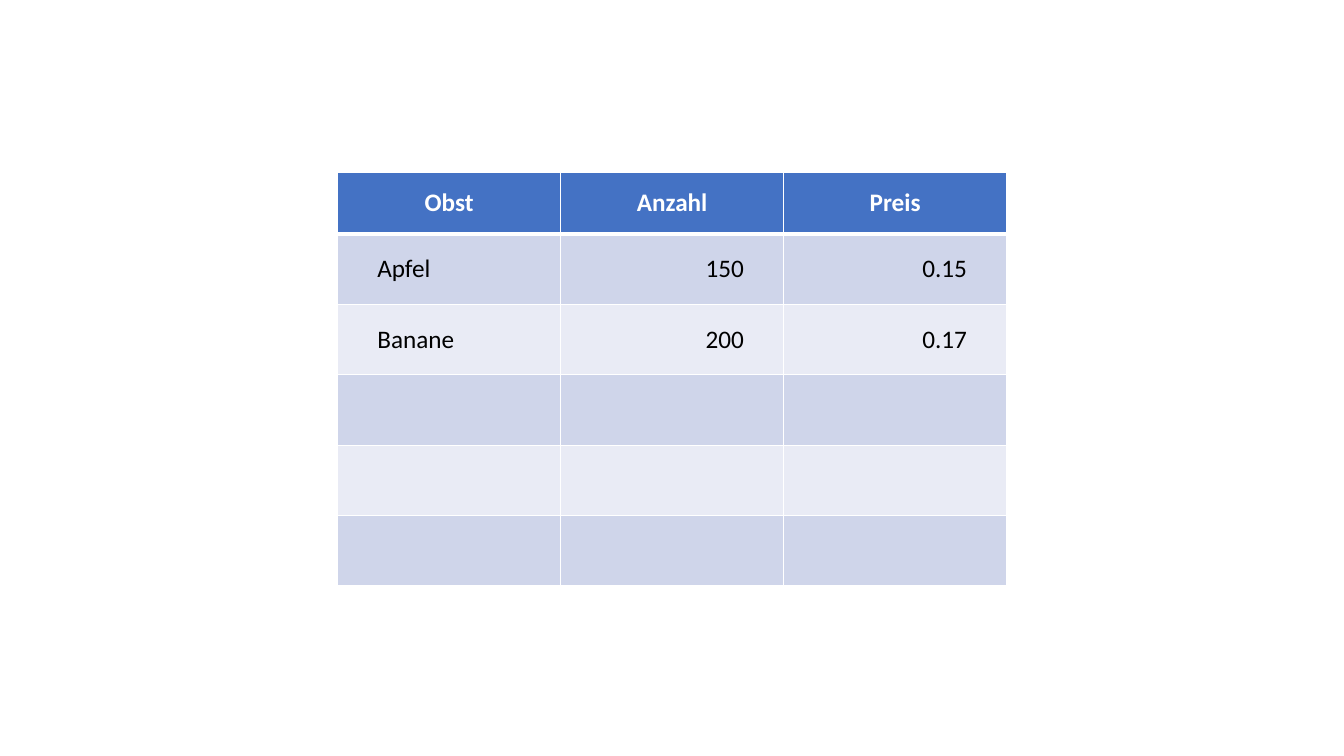
import pptx
import pptx.dml.color
import pptx.enum.text
import pptx.util
from lxml import etree
from pptx.oxml import ns

Pt = pptx.util.Pt
RGBColor = pptx.dml.color.RGBColor
ALIGN = pptx.enum.text.PP_ALIGN

WHITE = RGBColor(0xFF, 0xFF, 0xFF)
BLACK = RGBColor(0x00, 0x00, 0x00)
HEADER_BLUE = RGBColor(0x44, 0x72, 0xC4)
BANDS = (RGBColor(0xCF, 0xD5, 0xEA), RGBColor(0xE9, 0xEB, 0xF5))

HEADINGS = ("Obst", "Anzahl", "Preis")
FRUITS = (("Apfel", "150", "0.15"), ("Banane", "200", "0.17"))
EMPTY_ROWS = 3


class SlideBuilder:
    font = "Calibri"
    size = Pt(18)
    thin, thick = Pt(1), Pt(3)
    side_margin, end_margin = Pt(28.35), Pt(14.17)

    def __init__(self, slide):
        self.slide = slide

    def borders(self, cell, top, bottom):
        properties = cell._tc.get_or_add_tcPr()
        widths = {"L": self.thin, "R": self.thin, "T": top, "B": bottom}
        for side, width in widths.items():
            line = etree.SubElement(properties, ns.qn("a:ln" + side), w=str(width))
            fill = etree.SubElement(line, ns.qn("a:solidFill"))
            etree.SubElement(fill, ns.qn("a:srgbClr"), val=str(WHITE))

    def cell(self, cell, text, fill, color, align, bold=False):
        cell.fill.solid()
        cell.fill.fore_color.rgb = fill
        cell.vertical_anchor = pptx.enum.text.MSO_ANCHOR.MIDDLE
        cell.text_frame.text = text
        paragraph = cell.text_frame.paragraphs[0]
        paragraph.alignment = align
        for run in paragraph.runs:
            run.font.name = self.font
            run.font.size = self.size
            run.font.bold = bold
            run.font.color.rgb = color

    def table(self, left, top, column_width, header_height, row_height, headings, rows):
        count = len(headings)
        table = self.slide.shapes.add_table(
            len(rows) + 1, count, left, top,
            column_width * count, header_height + row_height * len(rows)).table
        table.first_row = table.horz_banding = False
        for column in table.columns:
            column.width = column_width

        # Header row, with a thick rule below it
        table.rows[0].height = header_height
        for index, heading in enumerate(headings):
            cell = table.cell(0, index)
            self.borders(cell, self.thin, self.thick)
            self.cell(cell, heading, HEADER_BLUE, WHITE, ALIGN.CENTER, bold=True)

        # Banded rows: names to the left, numbers to the right
        for number, row in enumerate(rows, 1):
            table.rows[number].height = row_height
            for index, text in enumerate(row):
                cell = table.cell(number, index)
                cell.margin_left = cell.margin_right = self.side_margin
                cell.margin_top = cell.margin_bottom = self.end_margin
                self.borders(cell, self.thick if number == 1 else self.thin, self.thin)
                self.cell(cell, text, BANDS[(number - 1) % 2], BLACK,
                          ALIGN.RIGHT if index else ALIGN.LEFT)


def main():
    presentation = pptx.Presentation()
    presentation.slide_width, presentation.slide_height = Pt(960), Pt(540)
    builder = SlideBuilder(presentation.slides.add_slide(presentation.slide_layouts[6]))

    # Fruit table
    rows = FRUITS + (("",) * len(HEADINGS),) * EMPTY_ROWS
    builder.table(Pt(241.2), Pt(123.2), Pt(159.3), Pt(43.9), Pt(50.3), HEADINGS, rows)

    presentation.save("out.pptx")


if __name__ == "__main__":
    main()
